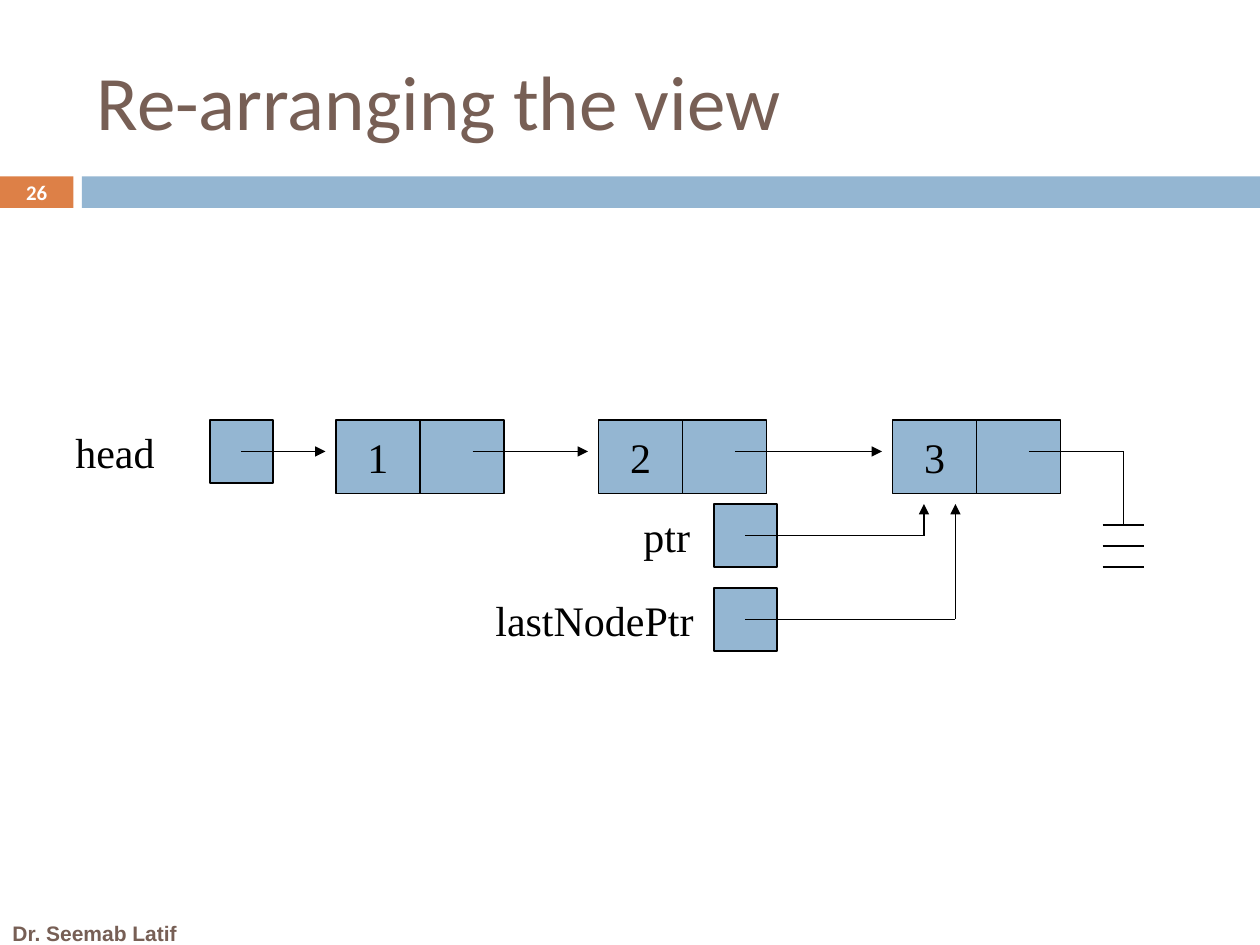
from pptx import Presentation, util as u
from pptx.dml.color import RGBColor
from pptx.enum import shapes, text
from pptx.oxml.ns import qn
from lxml import etree

EMU_PER_PX = 7620  # 120 px to the inch
BLUE = RGBColor(0x94, 0xB6, 0xD2)
ORANGE = RGBColor(0xDD, 0x80, 0x47)
BROWN = RGBColor(0x77, 0x5F, 0x55)
BLACK = RGBColor(0, 0, 0)
WHITE = RGBColor(0xFF, 0xFF, 0xFF)

CELL_WIDTH, CELL_HEIGHT, POINTER_SIZE = 80, 70, 60
ROW_TOP, ROW_GAP = 400, 80
LINK_Y = ROW_TOP + POINTER_SIZE // 2
NODES = [("1", 320), ("2", 570), ("3", 850)]
LINK_OFFSET = 130  # from a node's left edge to the start of its link
ARROW_GAP = 10


def px(*lengths):
    return [u.Emu(length * EMU_PER_PX) for length in lengths]


def add_text(shape, words, size, color, font="Times New Roman", bold=False,
             align=text.PP_ALIGN.LEFT, anchor=text.MSO_ANCHOR.MIDDLE, wrap=True):
    frame = shape.text_frame
    frame.word_wrap = wrap
    frame.vertical_anchor = anchor
    paragraph = frame.paragraphs[0]
    paragraph.alignment = align
    run = paragraph.add_run()
    run.text = words
    run.font.name = font
    run.font.size = u.Pt(size)
    run.font.bold = bold
    run.font.color.rgb = color


def add_box(slide, left, top, width, height, fill=BLUE, outlined=True):
    shape = slide.shapes.add_shape(shapes.MSO_SHAPE.RECTANGLE,
                                   *px(left, top, width, height))
    shape.shadow.inherit = False
    shape.fill.solid()
    shape.fill.fore_color.rgb = fill
    if outlined:
        shape.line.color.rgb = BLACK
        shape.line.width = u.Pt(1)
    else:
        shape.line.fill.background()
    return shape


def add_path(slide, *points, arrow=True):
    """Join the points with straight lines; the last may carry an arrowhead."""
    for start, end in zip(points, points[1:]):
        line = slide.shapes.add_connector(shapes.MSO_CONNECTOR.STRAIGHT,
                                          *px(*start, *end))
        line.line.color.rgb = BLACK
        line.line.width = u.Pt(1)
        etree.SubElement(line._element.spPr, qn("a:effectLst"))
    if arrow:
        etree.SubElement(line.line._get_or_add_ln(), qn("a:tailEnd"), type="triangle")


def add_node(slide, value, left):
    cell = add_box(slide, left, ROW_TOP, CELL_WIDTH, CELL_HEIGHT)
    add_text(cell, value, 24, BLACK, align=text.PP_ALIGN.CENTER, wrap=False)
    add_box(slide, left + CELL_WIDTH, ROW_TOP, CELL_WIDTH, CELL_HEIGHT)


def add_pointer(slide, name, label_left, label_width, left, row, *targets):
    """Add a labelled pointer box and its arrow through the target points."""
    top = ROW_TOP + row * ROW_GAP
    middle = POINTER_SIZE // 2
    add_box(slide, left, top, POINTER_SIZE, POINTER_SIZE)
    label = slide.shapes.add_textbox(*px(label_left, top, label_width, 61))
    add_text(label, name, 24, BLACK, anchor=text.MSO_ANCHOR.TOP, wrap=False)
    add_path(slide, (left + middle, top + middle), *targets)


def add_ground(slide, start_x, x, top):
    """Lead the last link down to the null symbol."""
    add_path(slide, (start_x, LINK_Y), (x, LINK_Y), (x, top), arrow=False)
    for step in range(3):
        y = top + step * 20
        add_path(slide, (x - 20, y), (x + 20, y), arrow=False)


def add_frame(slide):
    """Add the title, the band with the slide number, and the footer."""
    add_box(slide, 0, 168, 70, 30, ORANGE, outlined=False)
    add_box(slide, 78, 168, 1122, 30, outlined=False)
    title = slide.shapes.title
    title.left, title.top, title.width, title.height = px(80, 30, 1070, 130)
    add_text(title, "Re-arranging the view", 44, BROWN, "Calibri")
    number = slide.shapes.add_textbox(*px(0, 167, 70, 32))
    add_text(number, "26", 11.9, WHITE, "Calibri", True, text.PP_ALIGN.CENTER)
    footer = slide.shapes.add_textbox(*px(0, 870, 220, 38))
    add_text(footer, "Dr. Seemab Latif", 12, BROWN, "Arial", True)


def main():
    presentation = Presentation()
    presentation.slide_width, presentation.slide_height = px(1200, 900)
    slide = presentation.slides.add_slide(presentation.slide_layouts[5])
    add_frame(slide)

    for value, left in NODES:
        add_node(slide, value, left)
    lefts = [left for value, left in NODES]
    for left, next_left in zip(lefts, lefts[1:]):
        add_path(slide, (left + LINK_OFFSET, LINK_Y), (next_left - ARROW_GAP, LINK_Y))
    add_ground(slide, lefts[-1] + LINK_OFFSET, 1070, 500)

    below_node = ROW_TOP + CELL_HEIGHT + ARROW_GAP
    add_pointer(slide, "head", 60, 101, 200, 0, (lefts[0] - ARROW_GAP, LINK_Y))
    add_pointer(slide, "ptr", 601, 70, 680, 1, (880, 510), (880, below_node))
    add_pointer(slide, "lastNodePtr", 460, 214, 680, 2, (910, 590), (910, below_node))
    presentation.save("out.pptx")


if __name__ == "__main__":
    main()
